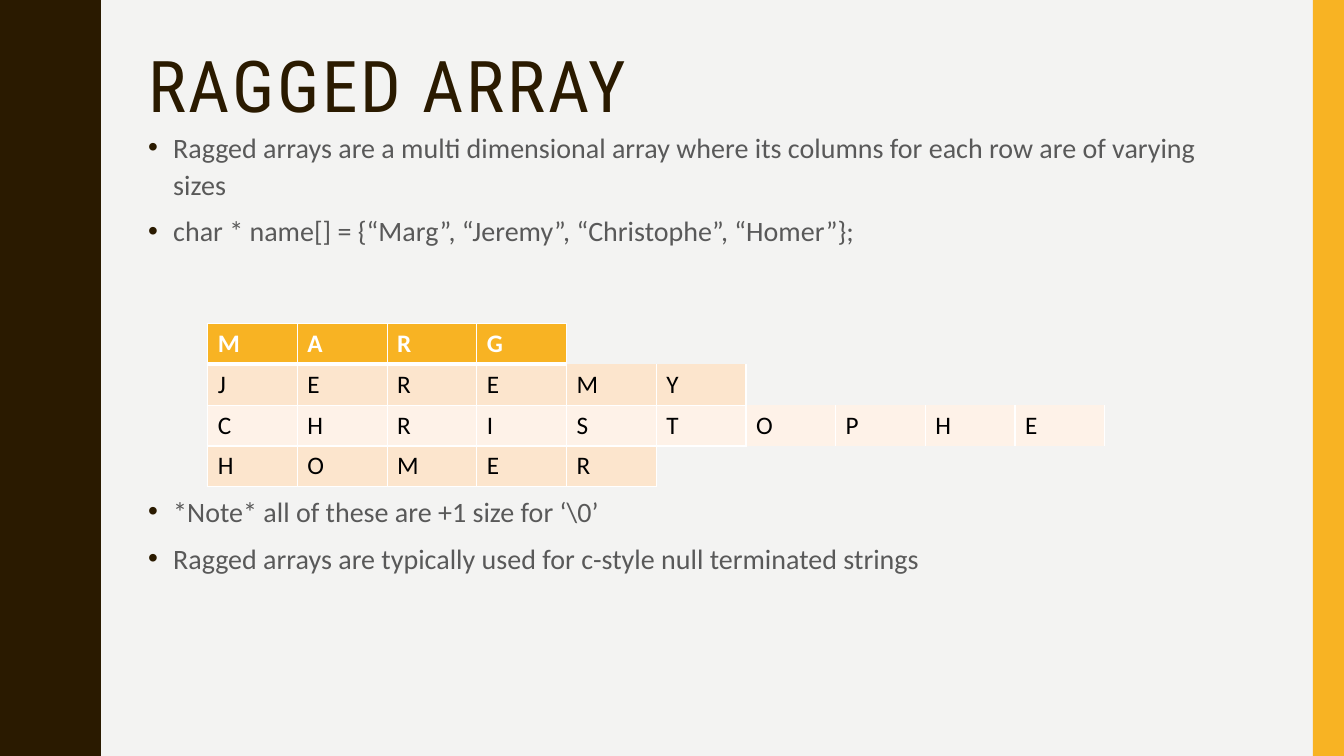
from lxml.etree import SubElement
from pptx import Presentation
from pptx.dml.color import RGBColor
from pptx.enum.shapes import MSO_SHAPE as Preset
from pptx.enum.text import MSO_ANCHOR as Anchor
from pptx.oxml.ns import qn
from pptx.util import Inches, Pt

TITLE = "RAGGED ARRAY"
BULLETS = [
    ("Ragged arrays are a multi dimensional array where its columns "
     "for each row are of varying sizes", 7),
    ("char * name[] = {“Marg”, “Jeremy”, “Christophe”, “Homer”};", 7),
    ("*Note* all of these are +1 size for ‘\\0’", 174),
    ("Ragged arrays are typically used for c-style null terminated strings", 7),
]
NAMES = ["MARG", "JEREMY", "CHRISTOPHE", "HOMER"]

BROWN = RGBColor(0x2A, 0x1A, 0x00)
GOLD = RGBColor(0xF8, 0xB3, 0x23)
PAPER = RGBColor(0xF3, 0xF3, 0xF2)
GREY = RGBColor(0x59, 0x59, 0x59)
WHITE = RGBColor(0xFF, 0xFF, 0xFF)
BLACK = RGBColor(0x00, 0x00, 0x00)
PEACH = RGBColor(0xFC, 0xE5, 0xCD)
CREAM = RGBColor(0xFE, 0xF2, 0xE8)
ROW_FILLS = [GOLD, PEACH, CREAM, PEACH]

WIDTH, HEIGHT = 13.33, 7.5
BAR_WIDTH = 0.31
TEXT_LEFT, TEXT_WIDTH = 1.37, 11.13
TABLE_LEFT, TABLE_TOP = 2.06, 3.21
CELL_WIDTH, CELL_HEIGHT = 0.89, 0.405
COLUMNS = max(len(name) for name in NAMES)
NO_STYLE = "{2D5ABB26-0587-4C30-8999-92F81FD0307C}"

WAVES = 5
HALF_WAVE = HEIGHT / WAVES / 2
SWELL = [
    (0.78, 0), (0.78, 0.07), (0.79, 0.14), (0.8, 0.2), (0.81, 0.25),
    (0.83, 0.29), (0.85, 0.33), (0.87, 0.38), (0.89, 0.42), (0.91, 0.46),
    (0.93, 0.5), (0.95, 0.55), (0.96, 0.61), (0.97, 0.68), (0.97, 0.75),
]


def style_shape(shape, color):
    shape.shadow.inherit = False
    shape.fill.solid()
    shape.fill.fore_color.rgb = color
    shape.line.fill.background()


def add_run(paragraph, text, font_name, size, color, bold=False):
    run = paragraph.add_run()
    run.text = text
    run.font.name = font_name
    run.font.size = Pt(size)
    run.font.color.rgb = color
    run.font.bold = bold
    return run


def add_text_frame(slide, top, height, anchor):
    box = slide.shapes.add_textbox(
        Inches(TEXT_LEFT), Inches(top), Inches(TEXT_WIDTH), Inches(height))
    frame = box.text_frame
    frame.word_wrap = True
    frame.vertical_anchor = anchor
    return frame


def add_wave(slide):
    ebb = [(x, HALF_WAVE - y) for x, y in reversed(SWELL)]
    edge = [(x, y + 2 * HALF_WAVE * wave + shift)
            for wave in range(WAVES)
            for half, shift in ((SWELL, 0), (ebb, HALF_WAVE))
            for x, y in half]
    builder = slide.shapes.build_freeform(0, 0, scale=Inches(1))
    builder.add_line_segments(edge + [(0, HEIGHT)], close=True)
    style_shape(builder.convert_to_shape(), BROWN)


def add_bar(slide):
    bar = slide.shapes.add_shape(
        Preset.RECTANGLE, Inches(WIDTH - BAR_WIDTH), 0,
        Inches(BAR_WIDTH), Inches(HEIGHT))
    style_shape(bar, GOLD)


def add_title(slide):
    paragraph = add_text_frame(slide, 0.42, 0.93, Anchor.MIDDLE).paragraphs[0]
    paragraph.line_spacing = 0.9
    run = add_run(paragraph, TITLE, "Roboto Condensed", 51, BROWN)
    run.font._element.set("spc", "200")


def add_bullets(slide):
    frame = add_text_frame(slide, 1.21, 5.22, Anchor.TOP)
    for index, (text, space) in enumerate(BULLETS):
        paragraph = frame.add_paragraph() if index else frame.paragraphs[0]
        paragraph.line_spacing = 1.1
        paragraph.space_before = Pt(space)
        properties = paragraph._p.get_or_add_pPr()
        properties.set("marL", str(Inches(0.25)))
        properties.set("indent", str(-Inches(0.25)))
        bullet_color = SubElement(properties, qn("a:buClr"))
        SubElement(bullet_color, qn("a:srgbClr")).set("val", str(BROWN))
        SubElement(properties, qn("a:buFont")).set("typeface", "Arial")
        SubElement(properties, qn("a:buChar")).set("char", "•")
        add_run(paragraph, text, "Calibri", 20, GREY)


def has_border(row, column):
    on_table = 0 <= row < len(NAMES) and 0 <= column < COLUMNS
    return not on_table or column < len(NAMES[row])


def set_borders(cell, row, column):
    properties = cell._tc.get_or_add_tcPr()
    sides = [
        ("a:lnL", row, column - 1, 1),
        ("a:lnR", row, column + 1, 1),
        ("a:lnT", row - 1, column, 3 if row == 1 else 1),
        ("a:lnB", row + 1, column, 3 if row == 0 else 1),
    ]
    for position, (tag, next_row, next_column, points) in enumerate(sides):
        if has_border(next_row, next_column):
            line = SubElement(properties, qn(tag))
            line.set("w", str(Pt(points)))
            fill = SubElement(line, qn("a:solidFill"))
            SubElement(fill, qn("a:srgbClr")).set("val", str(WHITE))


def add_name_table(slide):
    frame = slide.shapes.add_table(
        len(NAMES), COLUMNS, Inches(TABLE_LEFT), Inches(TABLE_TOP),
        Inches(CELL_WIDTH * COLUMNS), Inches(CELL_HEIGHT * len(NAMES)))
    table = frame.table
    table._tbl.tblPr.find(qn("a:tableStyleId")).text = NO_STYLE
    table.horz_banding = False
    for column in table.columns:
        column.width = Inches(CELL_WIDTH)
    for row, name in enumerate(NAMES):
        table.rows[row].height = Inches(CELL_HEIGHT)
        is_header = row == 0
        for column in range(COLUMNS):
            cell = table.cell(row, column)
            if column >= len(name):
                cell.fill.background()
                continue
            set_borders(cell, row, column)
            cell.fill.solid()
            cell.fill.fore_color.rgb = ROW_FILLS[row]
            add_run(cell.text_frame.paragraphs[0], name[column], "Calibri", 18,
                    WHITE if is_header else BLACK, is_header)


def main():
    presentation = Presentation()
    presentation.slide_width = Inches(WIDTH)
    presentation.slide_height = Inches(HEIGHT)
    slide = presentation.slides.add_slide(presentation.slide_layouts[6])
    slide.background.fill.solid()
    slide.background.fill.fore_color.rgb = PAPER
    add_wave(slide)
    add_bar(slide)
    add_title(slide)
    add_bullets(slide)
    add_name_table(slide)
    presentation.save("out.pptx")


if __name__ == "__main__":
    main()
